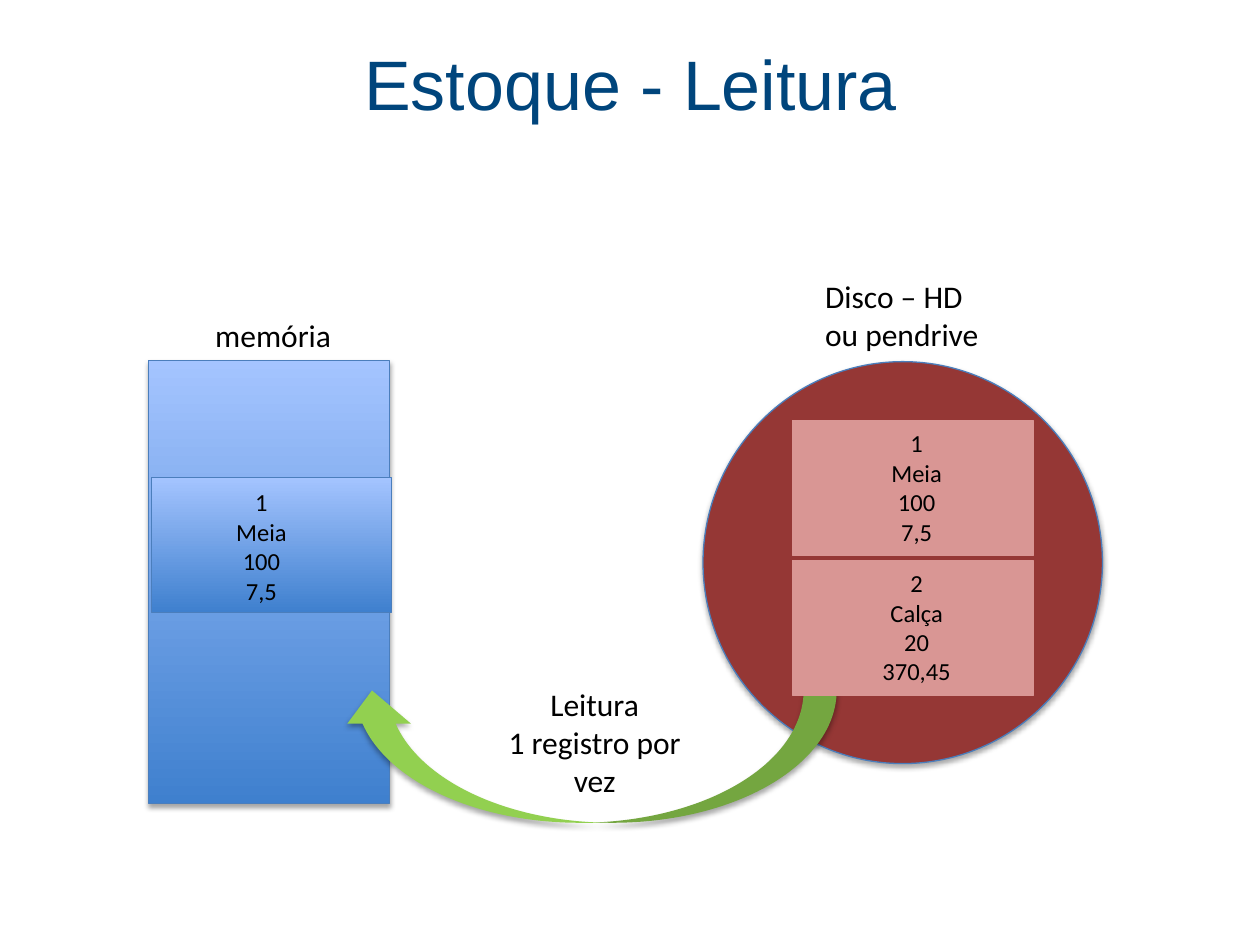
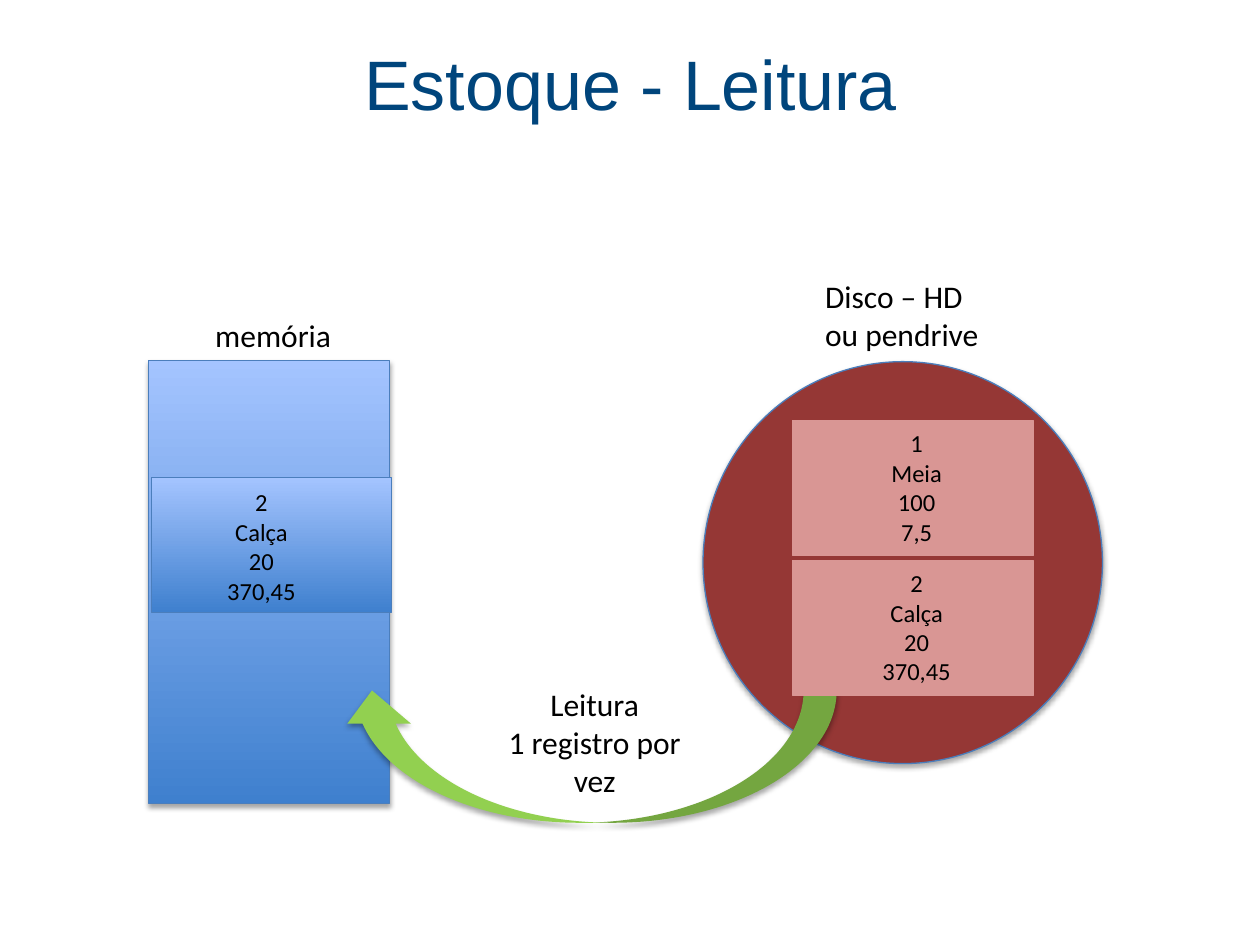
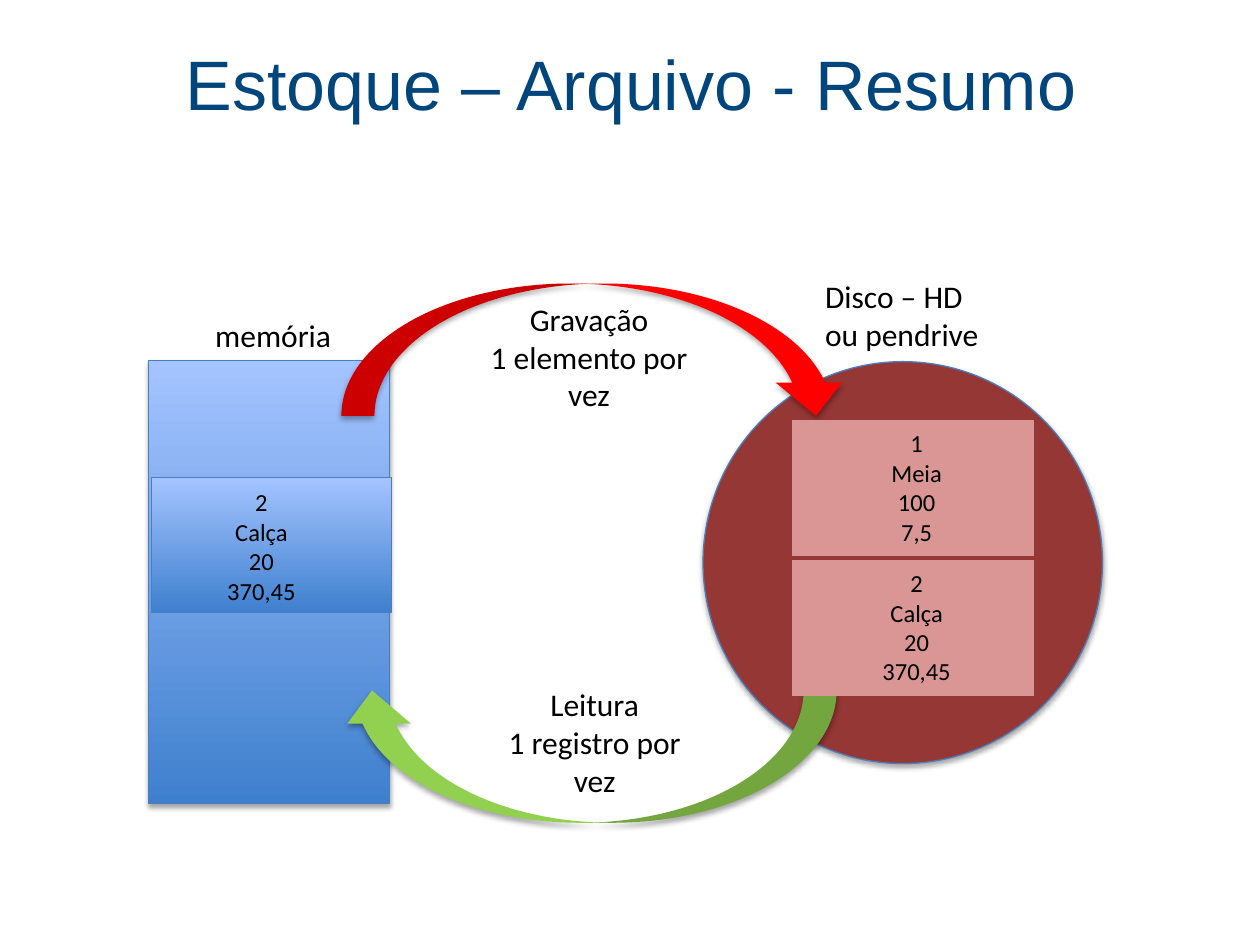
from collections import namedtuple

from lxml import etree
from pptx import Presentation
from pptx.dml.color import RGBColor
from pptx.enum.shapes import MSO_SHAPE as Shape
from pptx.enum.text import MSO_ANCHOR as Anchor, PP_ALIGN as Align
from pptx.oxml.ns import qn
from pptx.util import Inches, Pt

COLORS = {
    "title": "00457C", "text": "000000", "line": "4B7EBC",
    "memory_low": "3F80CE", "memory_high": "A4C4FF",
    "disk": "953735", "record": "D99694",
    "read": "92D050", "write": "FF0000", "shadow": "000000",
}
COLUMNS, ROWS = 100, 75
WIDTH, HEIGHT = Inches(10), Inches(7.5)
SOCK = ("1", "Meia", "100", "7,5")
PANTS = ("2", "Calça", "20", "370,45")


class Box(namedtuple("Box", "x y w h")):
    def place(self, dx, dy, w, h):
        return Box(self.x + dx, self.y + dy, w, h)

    def emu(self):
        col, row = WIDTH / COLUMNS, HEIGHT / ROWS
        return [round(n) for n in (self.x * col, self.y * row, self.w * col, self.h * row)]


TITLE = Box(3.5, 0.3, 93.1, 12.5)
MEMORY = Box(11.8, 28.6, 19.1, 35.2)
DISK = Box(55.8, 28.7, 31.7, 31.9)
READ = Box(27, 54.8, 39.4, 10.5)
WRITE = Box(27.1, 22.5, 40.3, 10.5)


def rgb(name):
    return RGBColor.from_string(COLORS[name])


def add_text(slide, box, lines, size=18, font="Calibri", color="text",
             align=Align.CENTER, anchor=Anchor.TOP):
    tf = slide.shapes.add_textbox(*box.emu()).text_frame
    tf.word_wrap = True
    tf.vertical_anchor = anchor
    for i, line in enumerate(lines):
        p = tf.paragraphs[0] if i == 0 else tf.add_paragraph()
        p.text = line
        p.alignment = align
        p.font.size = Pt(size)
        p.font.name = font
        p.font.color.rgb = rgb(color)


def add_shadow(sp):
    effects = sp.element.spPr.find(qn("a:effectLst"))
    shadow = etree.SubElement(effects, qn("a:outerShdw"), blurRad=str(Pt(3.1)),
                              dist=str(Pt(1.8)), dir="5400000", rotWithShape="0")
    color = etree.SubElement(shadow, qn("a:srgbClr"), val=COLORS["shadow"])
    etree.SubElement(color, qn("a:alpha"), val="35000")


def add_figure(slide, kind, box, fills, line=None, shadow=True):
    sp = slide.shapes.add_shape(kind, *box.emu())
    sp.shadow.inherit = False
    if len(fills) == 1:
        sp.fill.solid()
        sp.fill.fore_color.rgb = rgb(fills[0])
    else:
        sp.fill.gradient()
        sp.fill.gradient_angle = 90
        for stop, name in zip(sp.fill.gradient_stops, fills):
            stop.color.rgb = rgb(name)
    if line:
        sp.line.color.rgb = rgb(line)
        sp.line.width = Pt(0.75)
    else:
        sp.line.fill.background()
    if shadow:
        add_shadow(sp)
    return sp


def add_record(slide, box, text_box, values, fills, line):
    add_figure(slide, Shape.RECTANGLE, box, fills, line, shadow=False)
    add_text(slide, text_box, values, size=14)


def add_memory(slide, box):
    add_figure(slide, Shape.RECTANGLE, box, ("memory_low", "memory_high"), "line")
    add_text(slide, box.place(4.3, -4, 12.5, 4), ["memória"], align=Align.LEFT)


def add_disk(slide, box):
    add_figure(slide, Shape.OVAL, box, ("disk",), "line")
    add_text(slide, box.place(8.7, -7.2, 15.9, 7.1), ["Disco – HD ou pendrive"],
             align=Align.LEFT)


def add_memory_record(slide, box, values):
    cell = box.place(0.2, 9.3, 19.1, 10.7)
    add_record(slide, cell, cell.place(4.9, 0.3, 7.7, 10.4), values,
               ("memory_low", "memory_high"), "line")


def add_disk_records(slide, box, records):
    for i, values in enumerate(records):
        cell = box.place(7.1, 4.7 + 11.1 * i, 19.1, 10.7)
        add_record(slide, cell, cell.place(5.4, 0.1, 8.9, 10.4), values,
                   ("record",), "record")


def add_read_arrow(slide, box):
    sp = add_figure(slide, Shape.CURVED_DOWN_ARROW, box, ("read",))
    sp.rotation = 180
    sp.adjustments[1] = 0.48


def add_write_arrow(slide, box):
    add_figure(slide, Shape.CURVED_DOWN_ARROW, box, ("write",))


def add_stock_slide(prs, title, loaded, writes=False):
    slide = prs.slides.add_slide(prs.slide_layouts[6])
    add_text(slide, TITLE, [title], 40, "Arial", "title", anchor=Anchor.MIDDLE)
    add_memory(slide, MEMORY)
    add_disk(slide, DISK)
    if writes:
        add_write_arrow(slide, WRITE)
    add_read_arrow(slide, READ)
    add_memory_record(slide, MEMORY, loaded)
    add_disk_records(slide, DISK, (SOCK, PANTS))
    add_text(slide, READ.place(11.3, -0.9, 17.8, 10.1), ["Leitura", "1 registro por vez"])
    if writes:
        add_text(slide, WRITE.place(10.1, 0.8, 19.1, 10.1),
                 ["Gravação", "1 elemento por vez"])


def main():
    prs = Presentation()
    prs.slide_width, prs.slide_height = WIDTH, HEIGHT
    add_stock_slide(prs, "Estoque - Leitura", SOCK)
    add_stock_slide(prs, "Estoque - Leitura", PANTS)
    add_stock_slide(prs, "Estoque – Arquivo - Resumo", PANTS, writes=True)
    prs.save("out.pptx")


if __name__ == "__main__":
    main()
